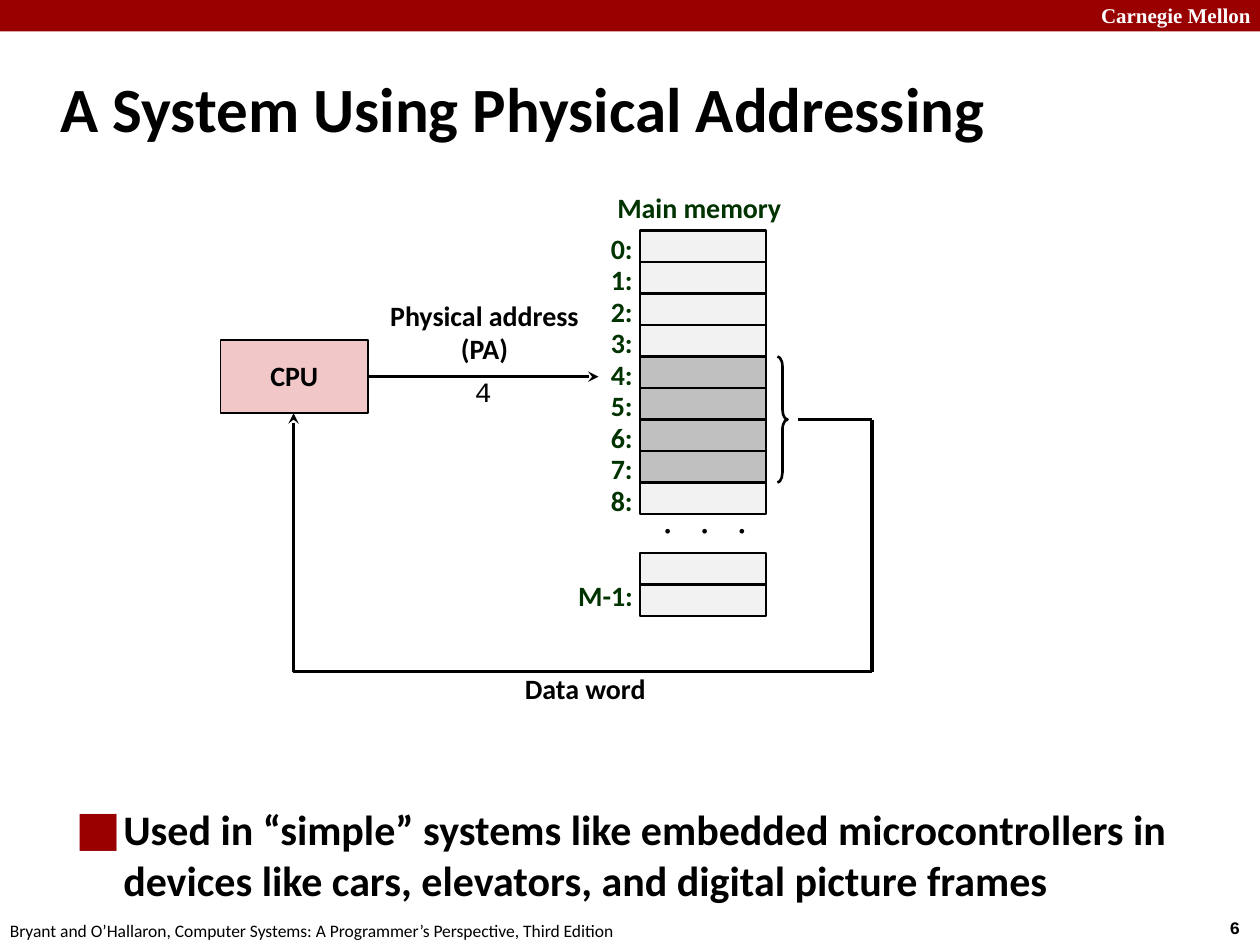
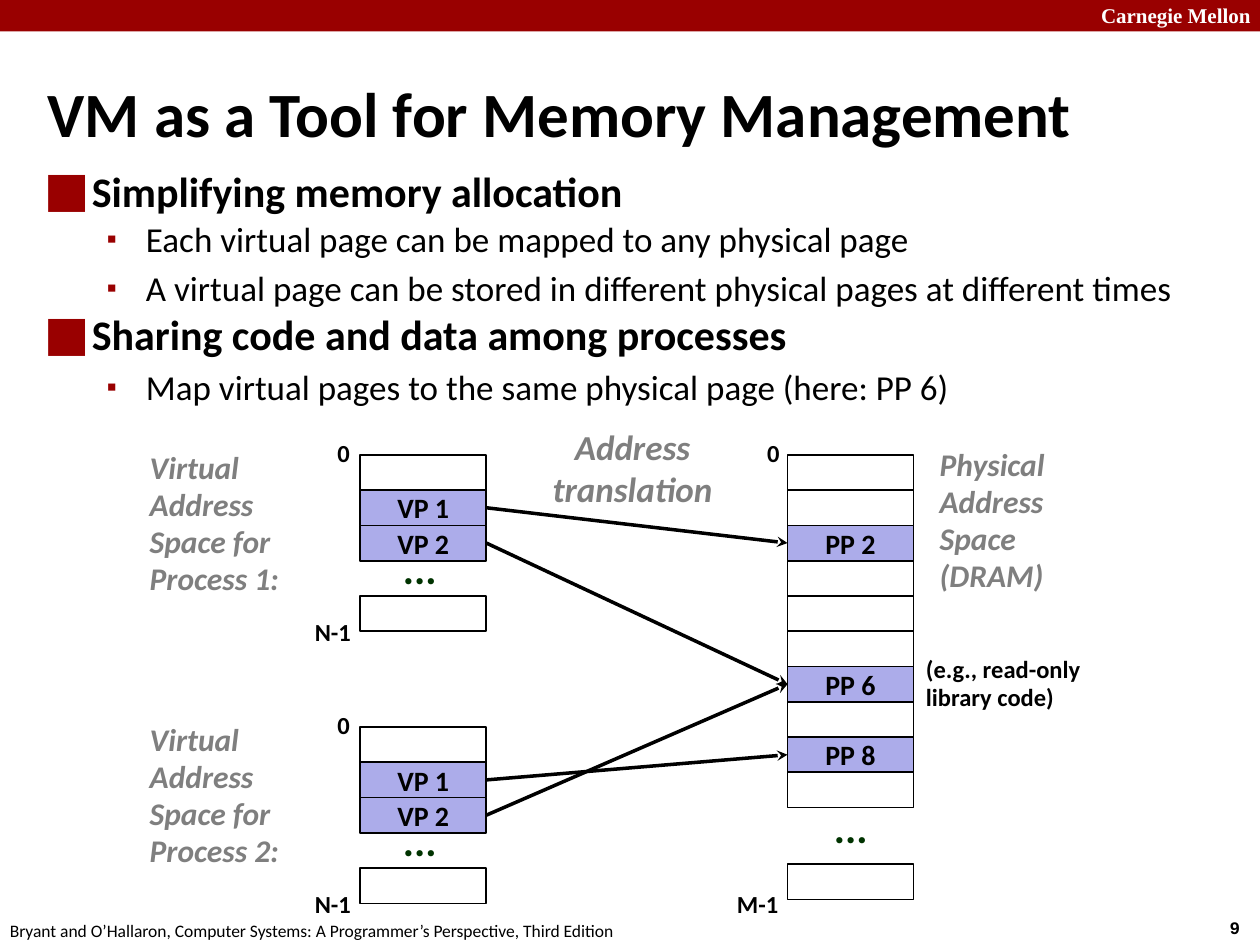
from dataclasses import dataclass, replace

from lxml import etree
from pptx import Presentation
from pptx.dml.color import RGBColor
from pptx.enum.shapes import MSO_CONNECTOR, MSO_SHAPE
from pptx.enum.text import MSO_ANCHOR, PP_ALIGN
from pptx.oxml.ns import qn
from pptx.util import Inches, Pt

LEFT, CENTER = PP_ALIGN.LEFT, PP_ALIGN.CENTER
TOP, MIDDLE = MSO_ANCHOR.TOP, MSO_ANCHOR.MIDDLE
RECT, BRACE = MSO_SHAPE.RECTANGLE, MSO_SHAPE.RIGHT_BRACE
STRAIGHT, ELBOW = MSO_CONNECTOR.STRAIGHT, MSO_CONNECTOR.ELBOW
SIDE_LEFT, SIDE_RIGHT = 1, 3

COLORS = {
    "band": "990000",
    "white": "FFFFFF",
    "black": "000000",
    "memory": "003300",
    "cpu": "F1C7C7",
    "byte": "F2F2F2",
    "word": "C0C0C0",
    "page": "ACACEA",
    "space": "7F7F7F",
}


@dataclass(frozen=True)
class Style:
    size: float
    color: str = "black"
    bold: bool = True
    italic: bool = False
    font: str = "Calibri"
    align: PP_ALIGN = LEFT
    anchor: MSO_ANCHOR = TOP
    spacing: float = 1.0
    wrap: bool = False


@dataclass(frozen=True)
class Box:
    left: float
    top: float
    width: float
    height: float

    def emu(self):
        return [Inches(v) for v in (self.left, self.top, self.width, self.height)]


@dataclass(frozen=True)
class Bullet:
    text: str
    level: int = 0
    spacing: float = 1.0
    before: float = 0


@dataclass(frozen=True)
class Level:
    mark: str
    percent: int
    margin: float
    hanging: float
    style: Style


@dataclass(frozen=True)
class VirtualSpace:
    process: str
    top: float


LEVELS = [
    Level("■", 115, 0.38, 0.38, Style(24)),
    Level("▪", 80, 0.81, 0.31, Style(20, bold=False)),
]
TITLE = Style(36, anchor=MIDDLE, wrap=True)
ADDRESS = Style(16, "memory", spacing=0.88)
CAPTION = Style(16, align=CENTER, anchor=MIDDLE, spacing=0.98)
CELL = Style(16, align=CENTER, anchor=MIDDLE, wrap=True)
BOUND = Style(14, spacing=0.98)
SPACE = Style(18, "space", italic=True, spacing=0.98, wrap=True)
DOTS = Style(24, "memory", spacing=0.88)
PITCH = 0.28


def rgb(name: str) -> RGBColor:
    return RGBColor.from_string(COLORS[name])


def add_run(p, text: str, style: Style) -> None:
    r = p.add_run()
    r.text = text
    r.font.name = style.font
    r.font.size = Pt(style.size)
    r.font.bold = style.bold
    r.font.italic = style.italic
    r.font.color.rgb = rgb(style.color)


def write(sp, lines: list[str], style: Style) -> None:
    tf = sp.text_frame
    tf.word_wrap = style.wrap
    tf.vertical_anchor = style.anchor
    for i, line in enumerate(lines):
        p = tf.add_paragraph() if i else tf.paragraphs[0]
        p.alignment = style.align
        p.line_spacing = style.spacing
        add_run(p, line, style)


def add_text(slide, box: Box, style: Style, *lines: str):
    sp = slide.shapes.add_textbox(*box.emu())
    write(sp, lines, style)
    return sp


def add_shape(slide, box: Box, fill: str = "", line: float = 0, kind=RECT):
    sp = slide.shapes.add_shape(kind, *box.emu())
    sp.shadow.inherit = False
    if fill:
        sp.fill.solid()
        sp.fill.fore_color.rgb = rgb(fill)
    else:
        sp.fill.background()
    if line:
        sp.line.color.rgb = rgb("black")
        sp.line.width = Pt(line)
    else:
        sp.line.fill.background()
    return sp


def add_line(slide, start: tuple, end: tuple, arrow: bool = False, kind=STRAIGHT):
    cx = slide.shapes.add_connector(kind, *[Inches(v) for v in start + end])
    cx.line.color.rgb = rgb("black")
    cx.line.width = Pt(2)
    if arrow:
        etree.SubElement(cx.line._get_or_add_ln(), qn("a:tailEnd"), type="stealth")
    etree.SubElement(cx._element.spPr, qn("a:effectLst"))
    return cx


def add_bullets(slide, box: Box, bullets: list[Bullet]) -> None:
    tf = slide.shapes.add_textbox(*box.emu()).text_frame
    tf.word_wrap = True
    for i, bullet in enumerate(bullets):
        level = LEVELS[bullet.level]
        p = tf.add_paragraph() if i else tf.paragraphs[0]
        p.level = bullet.level
        pPr = p._p.get_or_add_pPr()
        pPr.set("marL", str(Inches(level.margin)))
        pPr.set("indent", str(-Inches(level.hanging)))
        color = etree.SubElement(pPr, qn("a:buClr"))
        etree.SubElement(color, qn("a:srgbClr"), val=COLORS["band"])
        etree.SubElement(pPr, qn("a:buSzPct"), val=str(level.percent * 1000))
        etree.SubElement(pPr, qn("a:buFont"), typeface=level.style.font)
        etree.SubElement(pPr, qn("a:buChar"), char=level.mark)
        p.line_spacing = bullet.spacing
        if bullet.before:
            p.space_before = Pt(bullet.before)
        add_run(p, bullet.text, level.style)


def new_slide(prs, number: int, title: str, title_box: Box):
    slide = prs.slides.add_slide(prs.slide_layouts[6])
    add_shape(slide, Box(0, 0, 10, 0.25), "band")
    add_text(slide, Box(8.64, -0.03, 1.43, 0.3),
             Style(12, "white", font="Times New Roman"), "Carnegie Mellon")
    add_text(slide, Box(9.66, 7.23, 0.45, 0.27),
             Style(10, font="Courier New"), str(number))
    add_text(slide, Box(-0.02, 7.25, 5.08, 0.27), Style(10, bold=False),
             "Bryant and O’Hallaron, Computer Systems: "
             "A Programmer’s Perspective, Third Edition")
    add_text(slide, title_box, TITLE, title)
    return slide


def physical_addressing(prs) -> None:
    slide = new_slide(prs, 6, "A System Using Physical Addressing",
                      Box(0.38, 0.42, 9.53, 0.86))
    add_bullets(slide, Box(0.5, 6.33, 9.09, 0.96), [
        Bullet("Used in “simple” systems like embedded microcontrollers in "
               "devices like cars, elevators, and digital picture frames"),
    ])

    add_text(slide, Box(4.79, 1.5, 1.52, 0.33), replace(ADDRESS, align=CENTER),
             "Main memory")
    for address in range(9):
        top = 1.83 + 0.25 * address
        fill = "word" if 4 <= address <= 7 else "byte"
        add_shape(slide, Box(5.08, top, 1, 0.25), fill, 1.5)
        add_text(slide, Box(4.75, top - 0.01, 0.37, 0.33), ADDRESS, f"{address}:")
    for top in (4.39, 4.64):
        add_shape(slide, Box(5.08, top, 1, 0.25), "byte", 1.5)
    add_text(slide, Box(4.49, 4.58, 0.64, 0.33), ADDRESS, "M-1:")
    dots = add_text(slide, Box(5.54, 3.71, 0.25, 1),
                    replace(CAPTION, size=18, wrap=True), "...")
    dots.rotation = 90

    cpu = add_shape(slide, Box(1.75, 2.7, 1.17, 0.58), "cpu", 1)
    write(cpu, ["CPU"], replace(CAPTION, wrap=True))
    add_text(slide, Box(2.99, 2.33, 1.71, 0.63), CAPTION, "Physical address", "(PA)")
    add_text(slide, Box(3.67, 2.92, 0.34, 0.37),
             Style(16, bold=False, font="Courier New"), "4")
    add_text(slide, Box(4.06, 5.29, 1.17, 0.37), CAPTION, "Data word")

    brace = add_shape(slide, Box(6.17, 2.83, 0.08, 1), line=1.5, kind=BRACE)
    brace.adjustments[0] = 1
    brace.adjustments[1] = 0.5
    request = add_line(slide, (2.92, 2.99), (4.75, 2.99), arrow=True)
    request.begin_connect(cpu, SIDE_RIGHT)
    add_line(slide, (6.33, 3.33), (6.92, 3.33))
    add_line(slide, (6.92, 3.33), (6.92, 5.33))
    reply = add_line(slide, (6.92, 5.33), (2.33, 3.28), arrow=True, kind=ELBOW)
    guides = reply._element.spPr.find(qn("a:prstGeom")).get_or_add_avLst()
    etree.SubElement(guides, qn("a:gd"), name="adj1", fmla="val 100000")


def add_pages(slide, left: float, top: float, rows: list[int],
              names: dict[int, str]) -> dict:
    pages = {}
    for row in rows:
        name = names.get(row, "")
        sp = add_shape(slide, Box(left, top + PITCH * row, 1, PITCH),
                       "page" if name else "", 1)
        if name:
            write(sp, [name], CELL)
            pages[name] = sp
    return pages


def add_virtual_space(slide, space: VirtualSpace) -> dict:
    top = space.top
    add_text(slide, Box(1.09, top - 0.09, 1.5, 1.28), SPACE,
             f"Virtual Address Space for {space.process}:")
    add_text(slide, Box(2.58, top - 0.17, 0.31, 0.33), BOUND, "0")
    add_text(slide, Box(2.4, top + 1.25, 0.49, 0.33), BOUND, "N-1")
    add_text(slide, Box(3.1, top + 0.7, 0.47, 0.45), DOTS, "...")
    return add_pages(slide, 2.86, top, [0, 1, 2, 4], {1: "VP 1", 2: "VP 2"})


def memory_management(prs) -> None:
    slide = new_slide(prs, 9, "VM as a Tool for Memory Management",
                      Box(0.28, 0.58, 9.42, 0.63))
    add_bullets(slide, Box(0.25, 1.33, 9.58, 2.08), [
        Bullet("Simplifying memory allocation", 0, 0.83),
        Bullet("Each virtual page can be mapped to any physical page", 1, 0.88, 4),
        Bullet("A virtual page can be stored in different physical pages "
               "at different times", 1, before=4),
        Bullet("Sharing code and data among processes", 0, 0.83, 4.8),
        Bullet("Map virtual pages to the same physical page (here: PP 6)", 1, before=4),
    ])

    first = add_virtual_space(slide, VirtualSpace("Process 1", 3.61))
    second = add_virtual_space(slide, VirtualSpace("Process 2", 5.77))

    physical = add_pages(slide, 6.25, 3.61, list(range(10)),
                         {2: "PP 2", 6: "PP 6", 8: "PP 8"})
    add_pages(slide, 6.25, 6.86, [0], {})
    add_text(slide, Box(7.36, 3.5, 1.17, 1.29), SPACE,
             "Physical", "Address", "Space (DRAM)")
    add_text(slide, Box(5.99, 3.44, 0.31, 0.33), BOUND, "0")
    add_text(slide, Box(5.75, 7.02, 0.53, 0.33), BOUND, "M-1")
    add_text(slide, Box(6.52, 6.36, 0.47, 0.45), DOTS, "...")
    add_text(slide, Box(7.25, 5.15, 1.59, 0.56), BOUND,
             "(e.g., read-only", "library code)")

    mappings = [
        (first["VP 1"], physical["PP 2"]),
        (first["VP 2"], physical["PP 6"]),
        (second["VP 2"], physical["PP 6"]),
        (second["VP 1"], physical["PP 8"]),
    ]
    for virtual_page, physical_page in mappings:
        cx = add_line(slide, (3.86, 4), (6.25, 4), arrow=True)
        cx.begin_connect(virtual_page, SIDE_RIGHT)
        cx.end_connect(physical_page, SIDE_LEFT)
    add_text(slide, Box(4.28, 3.33, 1.48, 0.77),
             Style(20, "space", italic=True, align=CENTER), "Address", "translation")


def main() -> None:
    prs = Presentation()
    prs.slide_width, prs.slide_height = Inches(10), Inches(7.5)
    physical_addressing(prs)
    memory_management(prs)
    prs.save("out.pptx")


if __name__ == "__main__":
    main()
